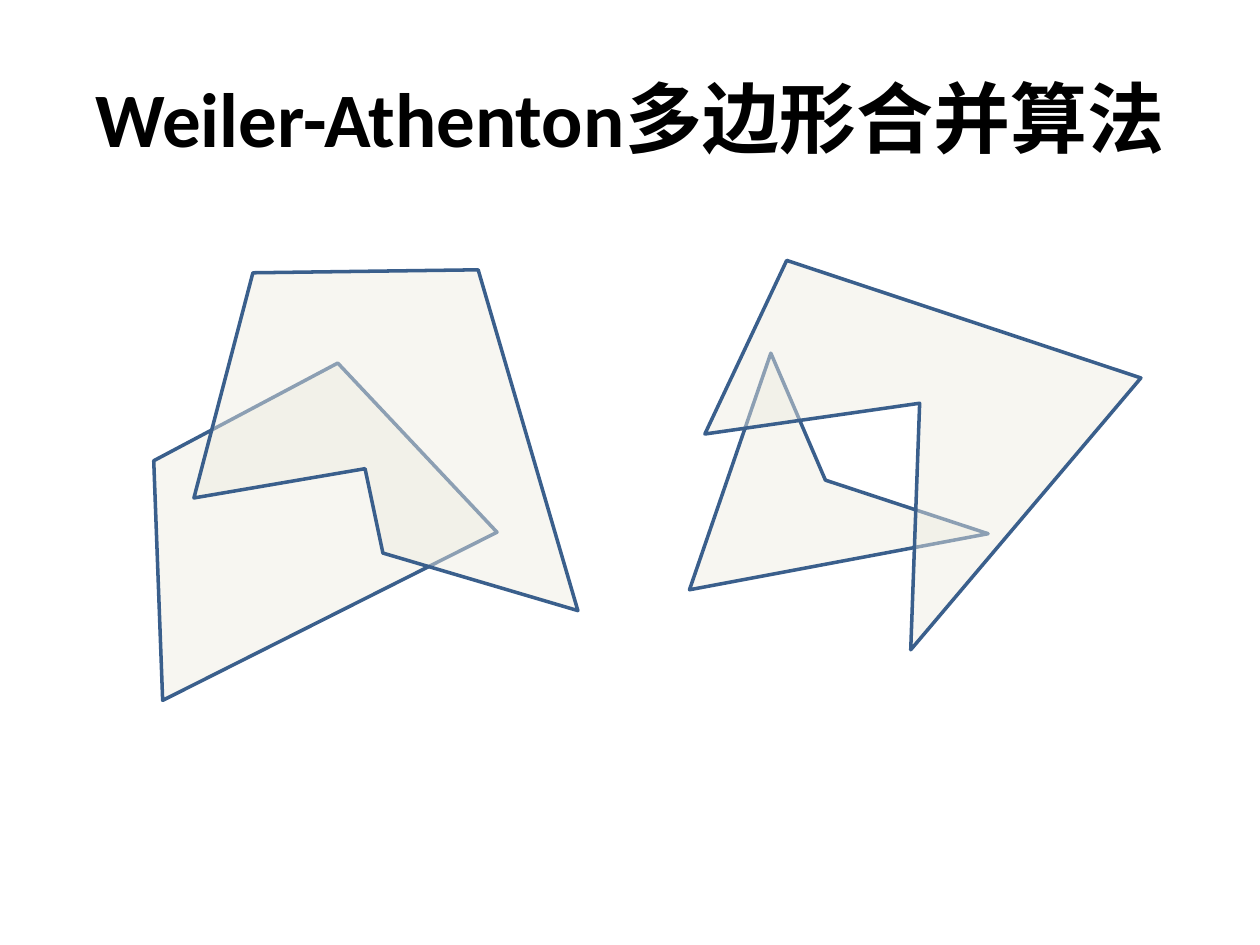
import pptx
import pptx.util
import pptx.dml.color
import pptx.enum.text
import pptx.oxml
import pptx.oxml.ns
from lxml import etree

Cm, Pt = pptx.util.Cm, pptx.util.Pt

TITLE = "Weiler-Athenton多边形合并算法"
FONT = "Calibri"
COLORS = {"text": "000000", "fill": "EEECE1", "line": "3A5F8C"}
ALPHA = 46  # percent opaque

# Corners in cm, from back to front
POLYS = [
    [(3.1, 9.29), (6.81, 7.32), (10.02, 10.73), (3.28, 14.12)],
    [(5.1, 5.5), (3.91, 10.04), (7.36, 9.45), (7.72, 11.15),
     (11.65, 12.31), (9.64, 5.44)],
    [(15.54, 7.12), (16.64, 9.68), (19.92, 10.76), (13.9, 11.89)],
    [(14.21, 8.75), (18.54, 8.13), (18.36, 13.1), (23, 7.62),
     (15.86, 5.25)],
]


def color(name):
    """Look up a named colour."""
    return pptx.dml.color.RGBColor.from_string(COLORS[name])


def add_title(slide):
    """Place the centred heading."""
    box = slide.shapes.add_textbox(Cm(1.27), Cm(0.76), Cm(22.86), Cm(3.18))
    frame = box.text_frame
    frame.word_wrap = True
    frame.vertical_anchor = pptx.enum.text.MSO_ANCHOR.MIDDLE
    para = frame.paragraphs[0]
    para.text = TITLE
    para.alignment = pptx.enum.text.PP_ALIGN.CENTER
    para.font.name = FONT
    para.font.size = Pt(44)
    para.font.bold = True
    para.font.color.rgb = color("text")


def add_poly(slide, points):
    """Draw one closed, see-through polygon."""
    first, *rest = [(Cm(x), Cm(y)) for x, y in points]
    pen = slide.shapes.build_freeform(*first)
    pen.add_line_segments(rest, close=True)
    shape = pen.convert_to_shape()
    shape.shadow.inherit = False
    shape.fill.solid()
    shape.fill.fore_color.rgb = color("fill")
    shape.line.color.rgb = color("line")
    shape.line.width = Pt(2)
    qn = pptx.oxml.ns.qn
    tint = shape.fill._xPr.find(qn("a:solidFill"))[0]
    etree.SubElement(tint, qn("a:alpha"), val=str(ALPHA * 1000))
    etree.SubElement(shape.line._get_or_add_ln(), qn("a:round"))


deck = pptx.Presentation()
deck.slide_width, deck.slide_height = Cm(25.4), Cm(19.05)
slide = deck.slides.add_slide(deck.slide_layouts[6])
add_title(slide)
for points in POLYS:
    add_poly(slide, points)
deck.save("out.pptx")
